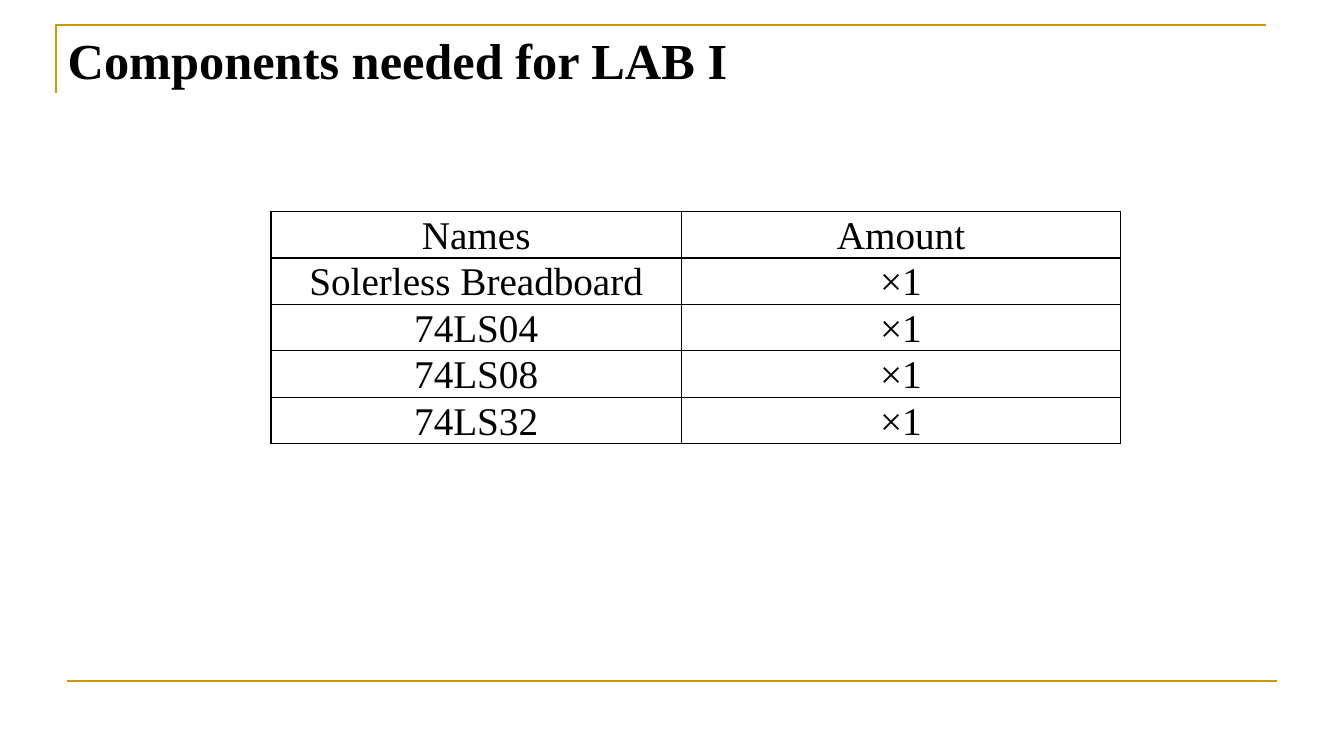
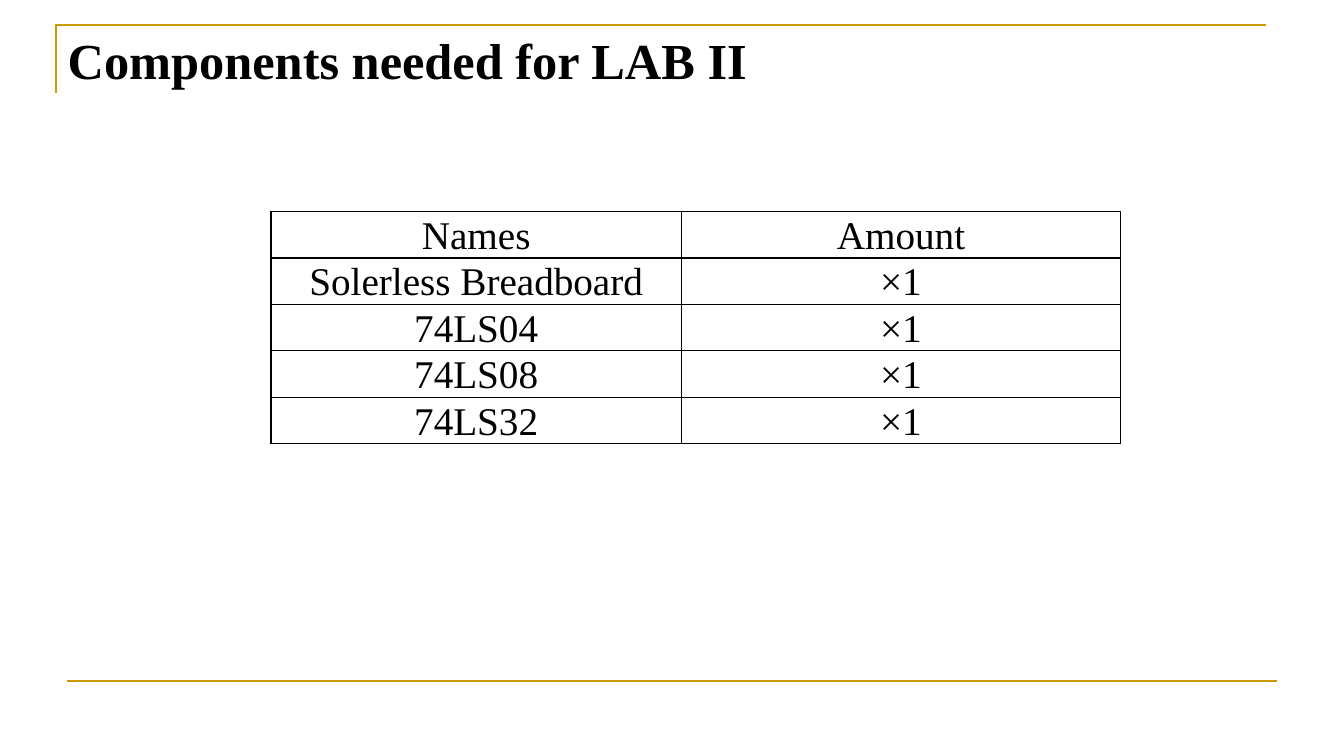
from dataclasses import dataclass

from lxml.etree import SubElement
from pptx import Presentation
from pptx.dml.color import RGBColor
from pptx.enum.shapes import MSO_CONNECTOR
from pptx.enum.text import MSO_ANCHOR, MSO_AUTO_SIZE, PP_ALIGN
from pptx.oxml.ns import qn
from pptx.presentation import Presentation as Deck
from pptx.slide import Slide
from pptx.table import _Cell as Cell
from pptx.text.text import TextFrame
from pptx.util import Cm, Pt

GOLD = RGBColor(0xCC, 0x99, 0x00)
BLACK = RGBColor(0x00, 0x00, 0x00)
FONT = "Times New Roman"
RULE_WIDTH = Pt(1.5)
BORDER_WIDTH = Pt(1)
COLUMN_WIDTHS = (Cm(10.34), Cm(11.07))
ROW_HEIGHT = Cm(0.79)
TABLE_HEIGHT = Cm(5.92)
TITLE_ONLY_LAYOUT = 5


@dataclass(frozen=True)
class Component:
    name: str
    amount: str


@dataclass(frozen=True)
class Lab:
    title: str
    components: tuple[Component, ...]


HEADER = Component("Names", "Amount")
BASIC_KIT = tuple(
    Component(name, "×1")
    for name in ("Solerless Breadboard", "74LS04", "74LS08", "74LS32")
)
LABS = tuple(
    Lab(f"Components needed for LAB {number}", BASIC_KIT) for number in ("I", "II")
)


def write_text(
    frame: TextFrame,
    text: str,
    *,
    size: float,
    bold: bool = False,
    alignment: PP_ALIGN = PP_ALIGN.LEFT,
    line_spacing: float = 1.0,
) -> None:
    frame.word_wrap = True
    paragraph = frame.paragraphs[0]
    paragraph.alignment = alignment
    paragraph.line_spacing = line_spacing
    run = paragraph.add_run()
    run.text = text
    run.font.name = FONT
    run.font.size = Pt(size)
    run.font.bold = bold
    run.font.color.rgb = BLACK


def add_rules(slide: Slide) -> None:
    builder = slide.shapes.build_freeform(Cm(1.42), Cm(2.34))
    builder.add_line_segments(
        [(Cm(1.42), Cm(0.64)), (Cm(31.9), Cm(0.64))], close=False
    )
    corner = builder.convert_to_shape()
    corner.fill.background()
    corner.shadow.inherit = False
    footer = slide.shapes.add_connector(
        MSO_CONNECTOR.STRAIGHT, Cm(1.7), Cm(17.15), Cm(32.18), Cm(17.15)
    )
    for rule in (corner, footer):
        rule.line.color.rgb = GOLD
        rule.line.width = RULE_WIDTH
    SubElement(footer._element.spPr, qn("a:effectLst"))


def add_title(slide: Slide, text: str) -> None:
    title = slide.shapes.title
    title.left, title.top = Cm(1.45), Cm(0.61)
    title.width, title.height = Cm(25.6), Cm(3.35)
    title.text_frame.vertical_anchor = MSO_ANCHOR.TOP
    title.text_frame.auto_size = MSO_AUTO_SIZE.NONE
    write_text(title.text_frame, text, size=36, bold=True)


def set_borders(cell: Cell) -> None:
    properties = cell._tc.get_or_add_tcPr()
    for side in ("lnL", "lnR", "lnT", "lnB"):
        border = SubElement(properties, qn(f"a:{side}"), w=str(BORDER_WIDTH))
        fill = SubElement(border, qn("a:solidFill"))
        SubElement(fill, qn("a:srgbClr"), val=str(BLACK))


def fill_cell(cell: Cell, text: str) -> None:
    set_borders(cell)
    cell.fill.background()
    cell.vertical_anchor = MSO_ANCHOR.MIDDLE
    cell.margin_left = cell.margin_right = Cm(0.2)
    cell.margin_top = cell.margin_bottom = 0
    write_text(
        cell.text_frame, text, size=28, alignment=PP_ALIGN.CENTER, line_spacing=1.07
    )


def add_component_table(slide: Slide, components: tuple[Component, ...]) -> None:
    entries = (HEADER, *components)
    shape = slide.shapes.add_table(
        len(entries),
        len(COLUMN_WIDTHS),
        Cm(6.83),
        Cm(5.33),
        sum(COLUMN_WIDTHS),
        TABLE_HEIGHT,
    )
    table = shape.table
    table.first_row = table.horz_banding = False
    for column, width in zip(table.columns, COLUMN_WIDTHS):
        column.width = width
    for row, entry in zip(table.rows, entries):
        row.height = ROW_HEIGHT
        for cell, text in zip(row.cells, (entry.name, entry.amount)):
            fill_cell(cell, text)
    shape.height = TABLE_HEIGHT


def add_lab_slide(presentation: Deck, lab: Lab) -> None:
    layout = presentation.slide_layouts[TITLE_ONLY_LAYOUT]
    slide = presentation.slides.add_slide(layout)
    add_rules(slide)
    add_title(slide, lab.title)
    add_component_table(slide, lab.components)


def main() -> None:
    """Build the component lists for the labs."""
    presentation = Presentation()
    presentation.slide_width = Cm(33.87)
    presentation.slide_height = Cm(19.05)
    for lab in LABS:
        add_lab_slide(presentation, lab)
    presentation.save("out.pptx")


if __name__ == "__main__":
    main()
